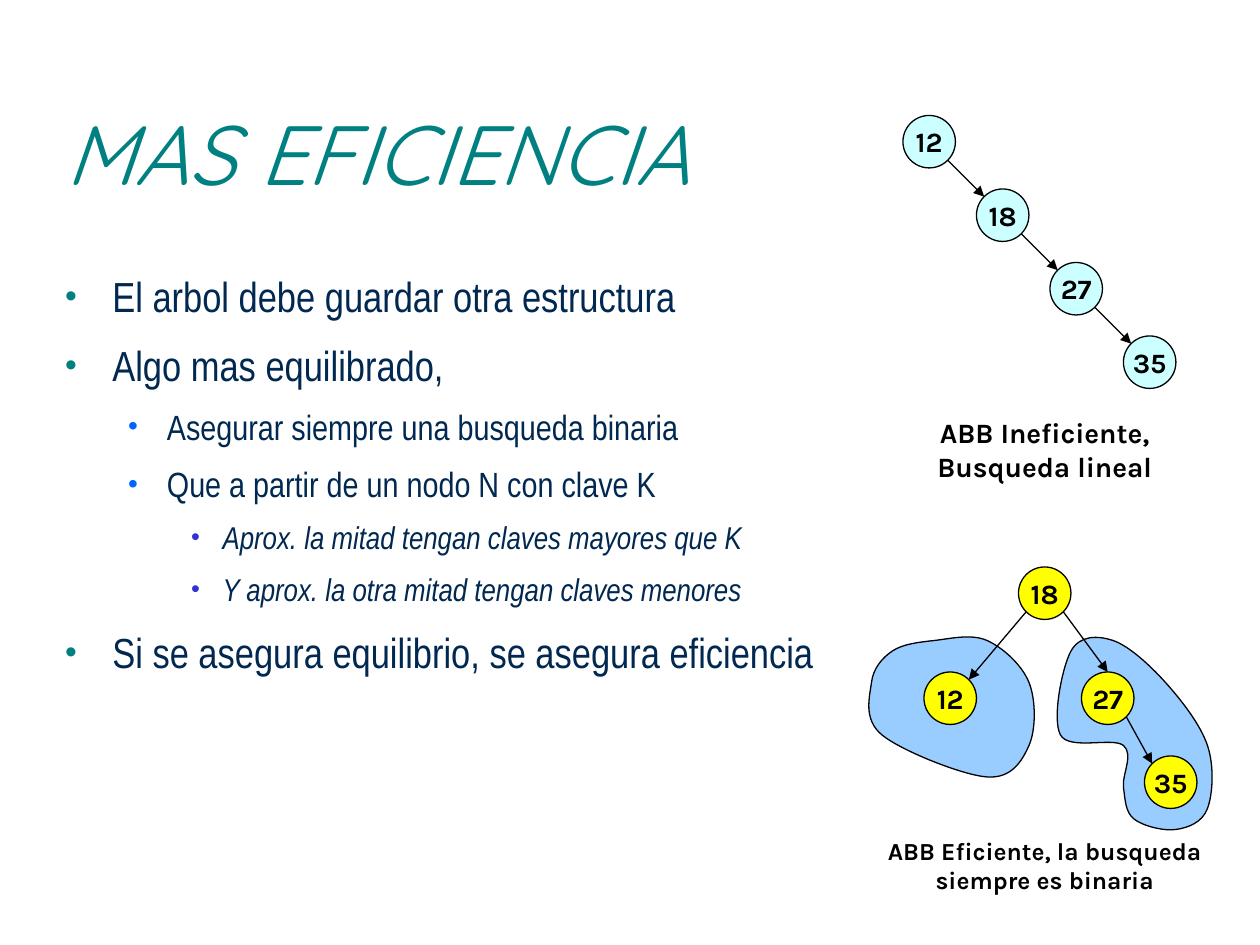
from math import sqrt

from lxml import etree
from pptx import Presentation
from pptx.dml.color import RGBColor
from pptx.enum.shapes import MSO_CONNECTOR, MSO_SHAPE
from pptx.enum.text import MSO_ANCHOR, MSO_AUTO_SIZE, PP_ALIGN
from pptx.oxml.ns import qn
from pptx.util import Pt

PX = 7620  # EMU per px, 120 px to the inch
OVAL, STRAIGHT = MSO_SHAPE.OVAL, MSO_CONNECTOR.STRAIGHT
CENTER, LEFT, MIDDLE = PP_ALIGN.CENTER, PP_ALIGN.LEFT, MSO_ANCHOR.MIDDLE
NO_FIT, GROW = MSO_AUTO_SIZE.NONE, MSO_AUTO_SIZE.SHAPE_TO_FIT_TEXT

COLORS = {
    "title": "008080", "body": "002850", "ink": "000000",
    "bullet 0": "008080", "bullet 1": "0066FF", "bullet 2": "3333CC",
    "region": "99CCFF", "chain": "CCFFFF", "balanced": "FFFF00",
}

# Content
TITLE = "MAS EFICIENCIA"
BULLETS = [  # level, text
    (0, "El arbol debe guardar otra estructura"),
    (0, "Algo mas equilibrado,"),
    (1, "Asegurar siempre una busqueda binaria"),
    (1, "Que a partir de un nodo N con clave K"),
    (2, "Aprox. la mitad tengan claves mayores que K"),
    (2, "Y aprox. la otra mitad tengan claves menores"),
    (0, "Si se asegura equilibrio, se asegura eficiencia"),
]
LEVELS = [  # size, italic, left margin, hanging indent
    (24, False, 45, 45), (20, False, 97, 37), (18, True, 150, 30),
]
NODE = 50
CHAIN_KEYS = ["12", "18", "27", "35"]
CHAIN_START, CHAIN_STEP = (860, 110), 70
TREE_NODES = {"12": (880, 640), "35": (1090, 720), "18": (970, 540), "27": (1030, 640)}
# Parent, child, side of each end in (x, y) directions
TREE_EDGES = [
    ("27", "35", (1, 1), (-1, -1)),
    ("18", "12", (-1, 1), (1, -1)),
    ("18", "27", (1, 1), (0, -1)),
]
REGIONS = [  # points that each closed smooth outline passes through
    [(830, 650), (850, 620), (890, 610), (940, 610),
     (980, 650), (980, 710), (940, 740), (840, 700)],
    [(1020, 620), (1060, 610), (1110, 650), (1150, 710), (1150, 770),
     (1120, 790), (1080, 780), (1070, 750), (1070, 710), (1010, 700)],
]
CAPTIONS = [  # text, size, box
    ("ABB Ineficiente, Busqueda lineal", 16, (850, 390, 290, 77)),
    ("ABB Eficiente, la busqueda siempre es binaria", 14, (820, 790, 350, 68)),
]


def color(name):
    return RGBColor.from_string(COLORS[name])


def place(shape, left, top, width, height):
    shape.left, shape.top = left * PX, top * PX
    shape.width, shape.height = width * PX, height * PX


def add_span(para, text, font, size, ink, bold=False, italic=False):
    span = para.add_run()
    span.text = text
    span.font.name, span.font.size = font, Pt(size)
    span.font.bold, span.font.italic = bold, italic
    span.font.color.rgb = color(ink)


def space_before(para, percent):
    para.space_before = Pt(0)
    spacing = para._p.pPr.find(qn("a:spcBef"))
    spacing.clear()
    etree.SubElement(spacing, qn("a:spcPct"), val=str(percent * 1000))


def add_bullet(para, level):
    size, italic, margin, hanging = LEVELS[level]
    props = para._p.get_or_add_pPr()
    props.set("marL", str(margin * PX))
    props.set("indent", str(-hanging * PX))
    tint = etree.SubElement(props, qn("a:buClr"))
    etree.SubElement(tint, qn("a:srgbClr"), val=COLORS[f"bullet {level}"])
    etree.SubElement(props, qn("a:buSzPct"), val="80000")
    etree.SubElement(props, qn("a:buFont"), typeface="Arial")
    etree.SubElement(props, qn("a:buChar"), char="•")


def paint(shape, fill):
    shape.shadow.inherit = False
    shape.fill.solid()
    shape.fill.fore_color.rgb = color(fill)
    shape.line.color.rgb = color("ink")
    shape.line.width = Pt(0.75)


def add_region(page, points):
    """Draw a closed curve through the points, one Bezier per pair."""
    count = len(points)
    handles = []
    for i in range(count):
        a, b, c, d = (points[(i + k) % count] for k in (-1, 0, 1, 2))
        handles += [
            tuple((q + (r - p) / 6) * PX for p, q, r in zip(a, b, c)),
            tuple((r - (s - q) / 6) * PX for q, r, s in zip(b, c, d)),
            tuple(r * PX for r in c),
        ]
    builder = page.shapes.build_freeform(*handles[-1])
    builder.add_line_segments(handles, close=True)
    region = builder.convert_to_shape()
    lines = list(region._element.iter(qn("a:lnTo")))
    for i in range(0, 3 * count, 3):
        curve = etree.Element(qn("a:cubicBezTo"))
        lines[i].addprevious(curve)
        for line in lines[i:i + 3]:
            curve.append(line[0])
            line.getparent().remove(line)
    paint(region, "region")


def rim_point(corner, side):
    reach = NODE / 2 / sqrt(side[0] ** 2 + side[1] ** 2)
    return [round((start + NODE / 2 + way * reach) * PX)
            for start, way in zip(corner, side)]


def add_tree(page, nodes, edges, fill):
    group = page.shapes.add_group_shape()
    for key, (left, top) in nodes.items():
        node = group.shapes.add_shape(OVAL, left * PX, top * PX, NODE * PX, NODE * PX)
        paint(node, fill)
        frame = node.text_frame
        frame.word_wrap, frame.vertical_anchor = False, MIDDLE
        para = frame.paragraphs[0]
        para.alignment = CENTER
        add_span(para, key, "Karla", 16, "ink", bold=True)
    for parent, child, out_side, in_side in edges:
        arrow = group.shapes.add_connector(
            STRAIGHT, *rim_point(nodes[parent], out_side), *rim_point(nodes[child], in_side))
        arrow.line.color.rgb = color("ink")
        arrow.line.width = Pt(0.75)
        etree.SubElement(arrow.line._get_or_add_ln(), qn("a:tailEnd"), type="triangle")
        etree.SubElement(arrow._element.spPr, qn("a:effectLst"))


def main():
    deck = Presentation()
    deck.slide_width, deck.slide_height = 1200 * PX, 900 * PX
    page = deck.slides.add_slide(deck.slide_layouts[1])

    # Title
    title = page.shapes.title
    place(title, 50, 70, 1080, 150)
    title.text_frame.vertical_anchor = MIDDLE
    title.text_frame.auto_size = NO_FIT
    para = title.text_frame.paragraphs[0]
    para.alignment = LEFT
    add_span(para, TITLE, "Quicksand", 48, "title", italic=True)

    # Bullet list
    body = page.placeholders[1]
    place(body, 50, 242, 750, 618)
    frame = body.text_frame
    frame.auto_size = NO_FIT
    for i, (level, text) in enumerate(BULLETS):
        para = frame.add_paragraph() if i else frame.paragraphs[0]
        para.level, para.line_spacing = level, 1.2
        space_before(para, 20)
        add_bullet(para, level)
        size, italic = LEVELS[level][:2]
        add_span(para, text, "Arial Narrow", size, "body", italic=italic)

    # Subtree regions
    for points in REGIONS:
        add_region(page, points)

    # Trees
    add_tree(page, TREE_NODES, TREE_EDGES, "balanced")
    chain = {key: tuple(start + i * CHAIN_STEP for start in CHAIN_START)
             for i, key in enumerate(CHAIN_KEYS)}
    links = [(parent, child, (1, 1), (-1, -1))
             for parent, child in zip(CHAIN_KEYS, CHAIN_KEYS[1:])]
    add_tree(page, chain, links, "chain")

    # Captions
    for text, size, area in CAPTIONS:
        box = page.shapes.add_textbox(*(length * PX for length in area))
        box.text_frame.word_wrap, box.text_frame.auto_size = True, GROW
        para = box.text_frame.paragraphs[0]
        para.alignment = CENTER
        space_before(para, 50)
        add_span(para, text, "Karla", size, "ink", bold=True)

    deck.save("out.pptx")


if __name__ == "__main__":
    main()
